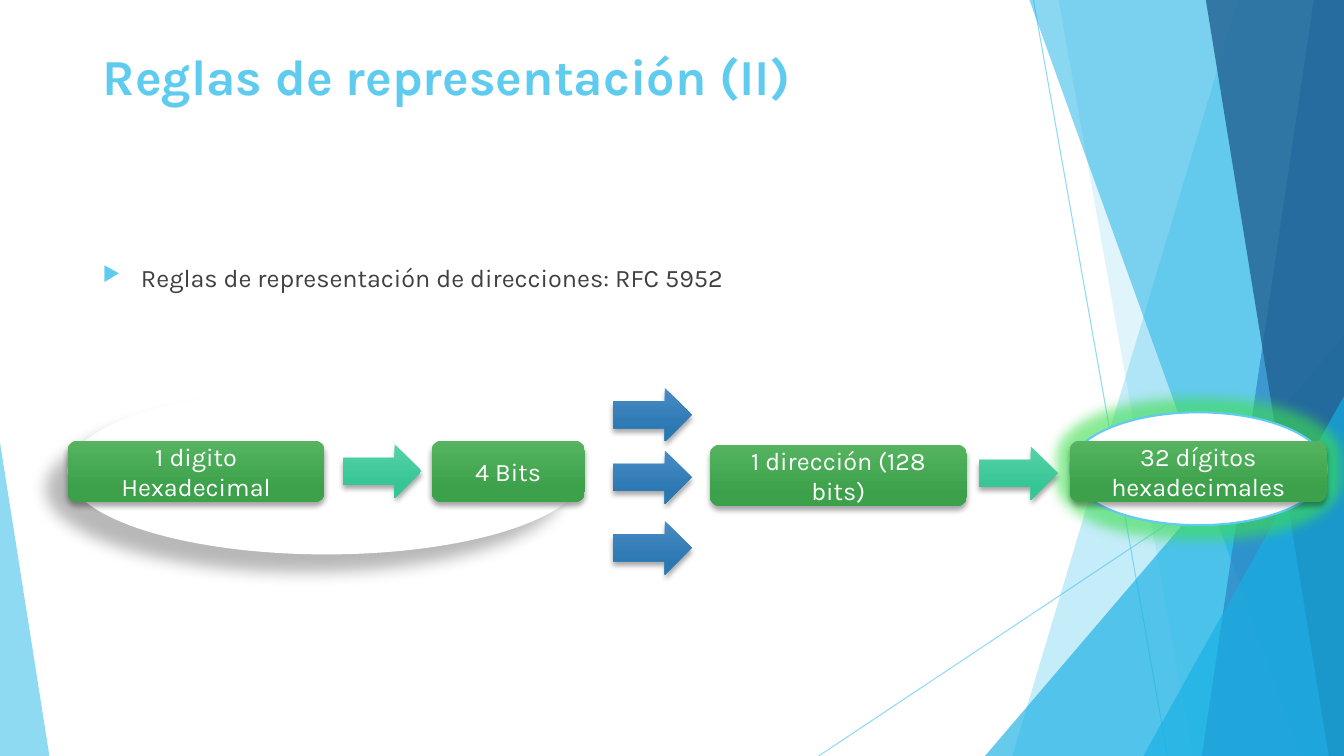
from lxml import etree
from pptx import Presentation
from pptx.dml.color import RGBColor
from pptx.enum.shapes import MSO_CONNECTOR, MSO_SHAPE
from pptx.enum.text import MSO_ANCHOR, PP_ALIGN
from pptx.oxml.ns import qn
from pptx.util import Inches, Pt

STRAIGHT = MSO_CONNECTOR.STRAIGHT
TRIANGLE = MSO_SHAPE.ISOSCELES_TRIANGLE
ELLIPSE = MSO_SHAPE.OVAL
ROUNDED = MSO_SHAPE.ROUNDED_RECTANGLE
ARROW = MSO_SHAPE.RIGHT_ARROW
TOP = MSO_ANCHOR.TOP
CENTER = PP_ALIGN.CENTER

THEME = {
    "font": "Karla",
    "title_size": Pt(36),
    "text_size": Pt(18),
    "sky": "5FCBEF",
    "cyan": "17B0E4",
    "blue": "2E83C3",
    "navy": "226292",
    "white": "FFFFFF",
    "text": "404040",
    "glow": "3FDF4F",
    "green": ("56B461", "3CA14A"),
    "mint": ("56D2A7", "36C596"),
    "steel": ("4A8BC6", "2A78B2"),
}


def paint(shape, color, opacity=100):
    shape.shadow.inherit = False
    shape.line.fill.background()
    if isinstance(color, tuple):
        shape.fill.gradient()
        shape.fill.gradient_angle = 270
        for stop, tone, position in zip(shape.fill.gradient_stops, color, (0, 0.78)):
            stop.color.rgb = RGBColor.from_string(tone)
            stop.position = position
    else:
        shape.fill.solid()
        shape.fill.fore_color.rgb = RGBColor.from_string(color)
        if opacity < 100:
            tint = shape.fill._xPr.find(".//" + qn("a:srgbClr"))
            etree.SubElement(tint, qn("a:alpha"), val=str(opacity * 1000))


def add_effect(shape, kind, color, opacity, **settings):
    effects = shape._element.spPr.find(qn("a:effectLst"))
    effect = etree.SubElement(effects, qn(kind), **settings)
    tint = etree.SubElement(effect, qn("a:srgbClr"), val=color)
    etree.SubElement(tint, qn("a:alpha"), val=str(opacity * 1000))


deck = Presentation()
deck.slide_width, deck.slide_height = Inches(13.33), Inches(7.5)
page = deck.slides.add_slide(deck.slide_layouts[6])
shapes = page.shapes

for ends in ((10.25, 0, 11.58, 7.5), (13.33, 4.03, 8.12, 7.5)):
    ray = shapes.add_connector(STRAIGHT, *map(Inches, ends))
    ray.line.width = Pt(0.75)
    ray.line.color.rgb = RGBColor.from_string(THEME["sky"])
    properties = ray._element.spPr
    etree.SubElement(properties.find(".//" + qn("a:srgbClr")), qn("a:alpha"), val="70000")
    etree.SubElement(properties, qn("a:effectLst"))

facets = [
    ("band", (12.28, 10.04), "sky", 36),
    ("band", (10.5, 11.83), "sky", 20),
    ("corner", (9.77, 3.33, 3.56, 4.17, 1), "cyan", 66),
    ("band", (10.21, 12.91), "cyan", 50),
    ("band", (13.03, 11.92), "blue", 70),
    ("band", (11.96, 13.18), "navy", 80),
    ("corner", (11.34, 3.93, 1.99, 3.57, 1), "cyan", 66),
    ("corner", (0, 4.39, 0.49, 3.11, 0), "sky", 70),
]
for kind, geometry, color, opacity in facets:
    if kind == "band":
        top_x, bottom_x = map(Inches, geometry)
        outline = shapes.build_freeform(top_x, 0)
        outline.add_line_segments([
            (deck.slide_width, 0),
            (deck.slide_width, deck.slide_height),
            (bottom_x, deck.slide_height),
        ])
        facet = outline.convert_to_shape()
    else:
        *frame, apex = geometry
        facet = shapes.add_shape(TRIANGLE, *map(Inches, frame))
        facet.adjustments[0] = apex
    paint(facet, THEME[color], opacity)

result_ring = shapes.add_shape(ELLIPSE, *map(Inches, (10.61, 4.09, 2.55, 1.12)))
paint(result_ring, THEME["white"])
result_ring.line.color.rgb = RGBColor.from_string(THEME["sky"])
result_ring.line.width = Pt(1.5)
add_effect(result_ring, "a:glow", THEME["glow"], 60, rad=str(Pt(18)))

digit_ring = shapes.add_shape(ELLIPSE, *map(Inches, (0.67, 3.85, 5.13, 1.65)))
paint(digit_ring, THEME["white"])
add_effect(digit_ring, "a:outerShdw", "000000", 28, blurRad=str(Pt(11.8)),
           dist=str(Pt(19.7)), dir=str(141 * 60000), algn="ctr", rotWithShape="0")

texts = [
    ("Reglas de representación (II)", 0.4, 1.45, "title_size", "sky", True),
    ("Reglas de representación de direcciones: RFC 5952", 2.55, 0.64, "text_size", "text", False),
]
for words, top, height, size, color, bold in texts:
    box = shapes.add_textbox(Inches(0.92), Inches(top), Inches(11.5), Inches(height))
    box.text_frame.word_wrap = True
    box.text_frame.vertical_anchor = TOP
    box.text_frame.text = words
    para = box.text_frame.paragraphs[0]
    span = para.runs[0]
    span.font.name = THEME["font"]
    span.font.size = THEME[size]
    span.font.bold = bold
    span.font.color.rgb = RGBColor.from_string(THEME[color])

para.space_before = Pt(10)
settings = para._p.get_or_add_pPr()
settings.set("marL", str(Inches(0.38)))
settings.set("indent", str(Inches(-0.38)))
bullet_color = etree.SubElement(settings, qn("a:buClr"))
etree.SubElement(bullet_color, qn("a:srgbClr"), val=THEME["sky"])
etree.SubElement(settings, qn("a:buSzPct"), val="80000")
etree.SubElement(settings, qn("a:buChar"), char="▶")

steps = [
    (ROUNDED, 0.67, 4.37, 2.55, "green", "1 digito Hexadecimal"),
    (ARROW, 3.4, 4.41, 0.78, "mint", ""),
    (ROUNDED, 4.28, 4.37, 1.52, "green", "4 Bits"),
    (ARROW, 6.08, 3.85, 0.78, "steel", ""),
    (ARROW, 6.08, 4.47, 0.78, "steel", ""),
    (ARROW, 6.08, 5.17, 0.78, "steel", ""),
    (ROUNDED, 7.04, 4.41, 2.55, "green", "1 dirección (128 bits)"),
    (ARROW, 9.71, 4.43, 0.78, "mint", ""),
    (ROUNDED, 10.61, 4.37, 2.55, "green", "32 dígitos hexadecimales"),
]
for kind, left, top, width, color, words in steps:
    height = 0.61 if kind == ROUNDED else 0.53
    step = shapes.add_shape(kind, *map(Inches, (left, top, width, height)))
    paint(step, THEME[color])
    add_effect(step, "a:outerShdw", "000000", 35, blurRad=str(Pt(4)),
               dist=str(Pt(3)), dir=str(90 * 60000), algn="ctr", rotWithShape="0")
    if words:
        step.text_frame.text = words
        para = step.text_frame.paragraphs[0]
        para.alignment = CENTER
        span = para.runs[0]
        span.font.name = THEME["font"]
        span.font.size = THEME["text_size"]
        span.font.color.rgb = RGBColor.from_string(THEME["white"])

deck.save("out.pptx")
